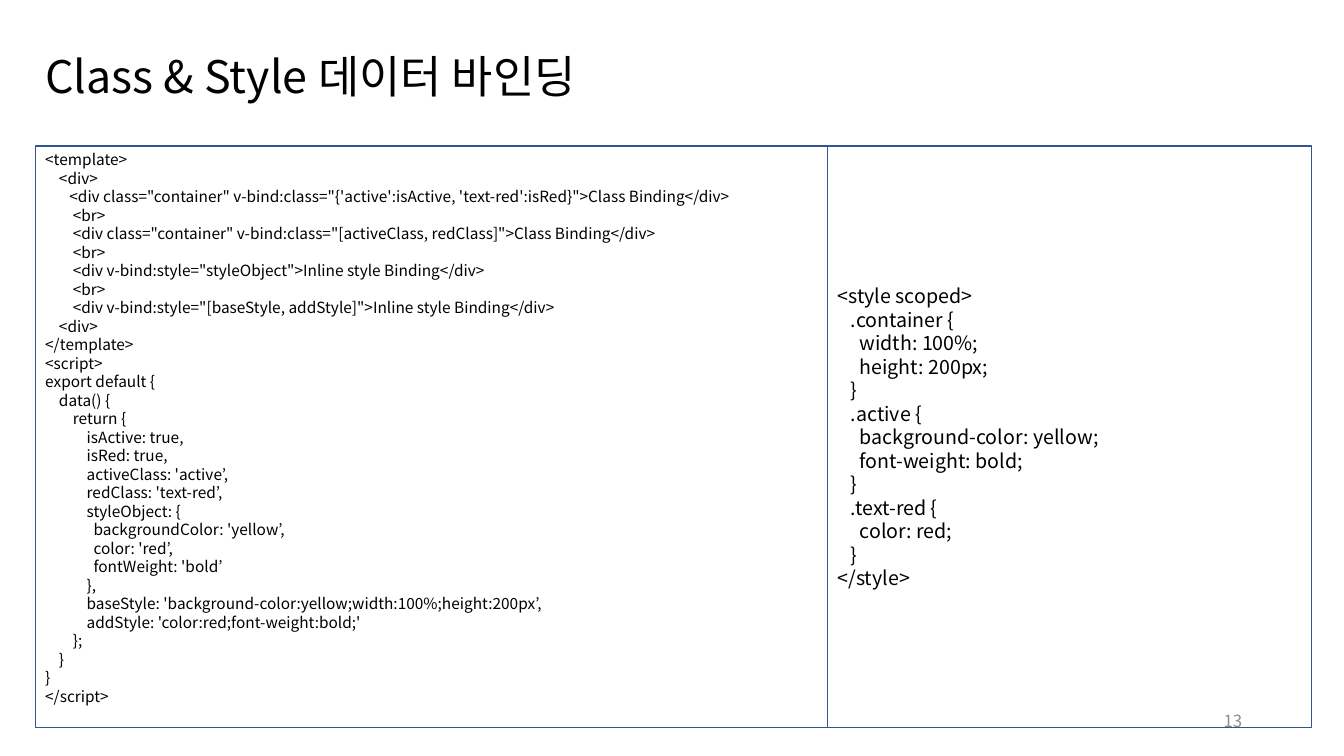
from pptx import Presentation
from pptx.dml.color import RGBColor
from pptx.enum.shapes import MSO_SHAPE
from pptx.enum.text import MSO_ANCHOR, PP_ALIGN
from pptx.oxml.ns import qn
from pptx.util import Inches, Pt
from lxml import etree

TITLE = "Class & Style 데이터 바인딩"
PAGE = "13"
VUE_CODE = [
    "<template>",
    "    <div>",
    "       <div class=\"container\" v-bind:class=\"{'active':isActive, 'text-red':isRed}\">Class Binding</div>",
    "        <br>",
    '        <div class="container" v-bind:class="[activeClass, redClass]">Class Binding</div>',
    "        <br>",
    '        <div v-bind:style="styleObject">Inline style Binding</div>',
    "        <br>",
    '        <div v-bind:style="[baseStyle, addStyle]">Inline style Binding</div>',
    "    <div>",
    "</template>",
    "<script>",
    "export default {",
    "    data() {",
    "        return {",
    "            isActive: true,",
    "            isRed: true,",
    "            activeClass: 'active’,",
    "            redClass: 'text-red’,",
    "            styleObject: {",
    "              backgroundColor: 'yellow’,",
    "              color: 'red’,",
    "              fontWeight: 'bold’",
    "            },",
    "            baseStyle: 'background-color:yellow;width:100%;height:200px’,",
    "            addStyle: 'color:red;font-weight:bold;'",
    "        };",
    "    }",
    "}",
    "</script>",
]
CSS_CODE = [
    "<style scoped>",
    "   .container {",
    "     width: 100%;",
    "     height: 200px;",
    "   }",
    "   .active {",
    "     background-color: yellow;",
    "     font-weight: bold;",
    "   }",
    "   .text-red {",
    "     color: red;",
    "   }",
    "</style>",
]
# code, width, text size, bottom inset
PANELS = [(VUE_CODE, 7.86, 11, 0.23), (CSS_CODE, 4.8, 14, 0.05)]

FONT = "Noto Sans CJK KR"
BLACK = RGBColor(0x00, 0x00, 0x00)
GRAY = RGBColor(0x8C, 0x8C, 0x8C)
BLUE = RGBColor(0x32, 0x54, 0x91)
RECT = MSO_SHAPE.RECTANGLE
MIDDLE = MSO_ANCHOR.MIDDLE
LEFT, RIGHT = PP_ALIGN.LEFT, PP_ALIGN.RIGHT
EDGE, TOP, HEIGHT = 0.35, 1.45, 5.77
LEADING = 1.2


def write(shape, text, size, color, align=LEFT):
    frame = shape.text_frame
    frame.text = text
    frame.word_wrap = True
    frame.vertical_anchor = MIDDLE
    for para in frame.paragraphs:
        para.alignment = align
        for run in para.runs:
            font = run.font
            font.name, font.size = FONT, Pt(size)
            font.color.rgb = color
            east = etree.SubElement(run._r.get_or_add_rPr(), qn("a:ea"))
            east.set("typeface", FONT)
    return frame


def main():
    deck = Presentation()
    deck.slide_width, deck.slide_height = Inches(13.33), Inches(7.5)
    slide = deck.slides.add_slide(deck.slide_layouts[5])
    shapes = slide.shapes

    title = shapes.title
    title.left, title.top = Inches(EDGE), Inches(0.4)
    title.width, title.height = Inches(12.66), Inches(0.77)
    write(title, TITLE, 32, BLACK).paragraphs[0].line_spacing = 0.9

    number = shapes.add_textbox(Inches(9.42), Inches(6.95), Inches(3), Inches(0.4))
    write(number, PAGE, 12, GRAY, RIGHT)

    left = EDGE
    for code, width, size, inset in PANELS:
        panel = shapes.add_shape(RECT, Inches(left), Inches(TOP),
                                 Inches(width), Inches(HEIGHT))
        panel.shadow.inherit = False
        panel.fill.background()
        panel.line.color.rgb = BLUE
        panel.line.width = Pt(1)
        frame = write(panel, "\n".join(code), size, BLACK)
        frame.margin_bottom = Inches(inset)
        for para in frame.paragraphs:
            para.line_spacing = Pt(size * LEADING)
        left += width

    deck.save("out.pptx")


if __name__ == "__main__":
    main()
